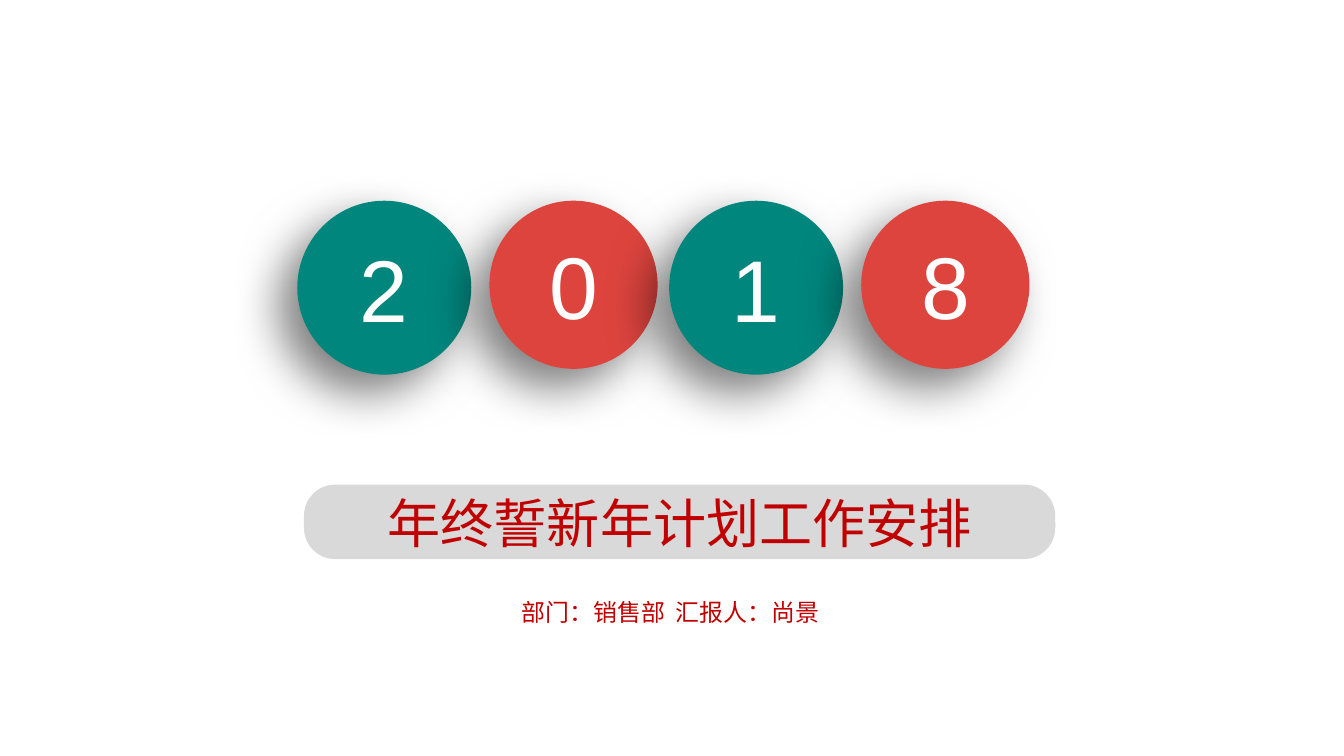
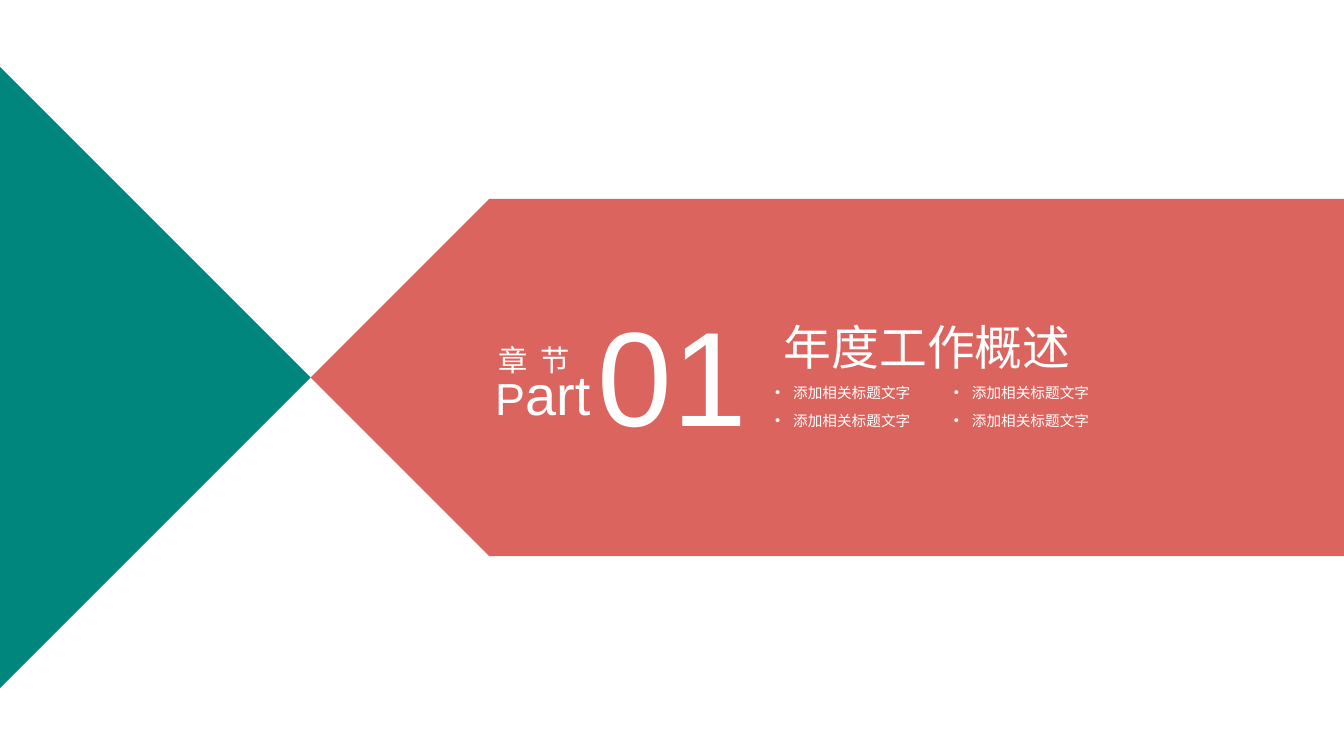
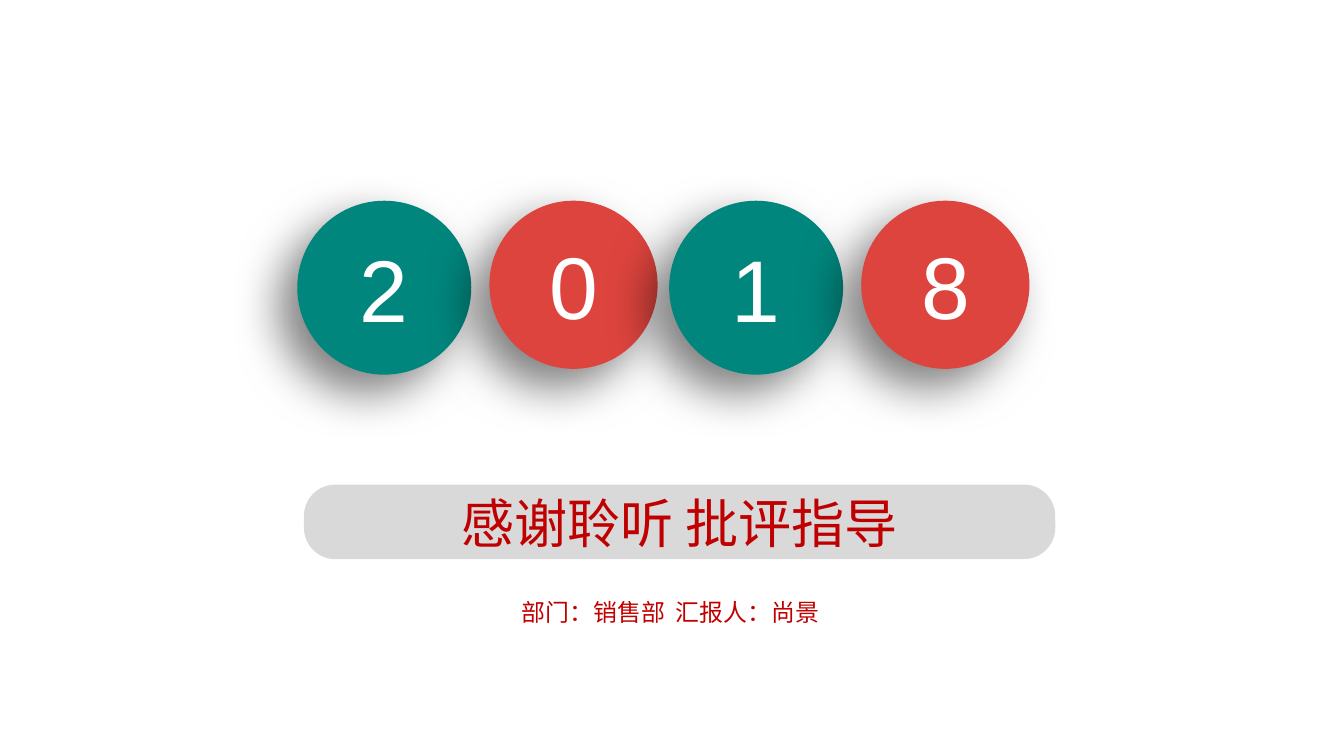
from dataclasses import dataclass
from lxml.etree import SubElement as Sub
from pptx import Presentation
from pptx.dml.color import RGBColor as Rgb
from pptx.enum.shapes import MSO_SHAPE as Kind
from pptx.enum.text import MSO_ANCHOR as Anchor, MSO_AUTO_SIZE as Auto, PP_ALIGN as Align
from pptx.oxml.ns import qn
from pptx.util import Inches, Pt


@dataclass(frozen=True)
class Theme:
    teal: str = "00867D"
    red: str = "DE443E"
    arrow: str = "D23E38"
    gray: str = "D9D9D9"
    ink: str = "C00000"
    white: str = "FFFFFF"
    latin: str = "Arial"
    han: str = "Noto Sans CJK SC"
    digit: float = 66
    head: float = 40
    by: float = 18
    topic: float = 36
    item: float = 11
    word: float = 22.1
    cap: float = 33.8
    low: float = 42.1
    num: float = 101.2


T = Theme()
WIDE, HIGH = 14.06, 7.91

# Content
YEAR = "2018"
OPEN, CLOSE = "年终誓新年计划工作安排", "感谢聆听 批评指导"
BYLINE = "部门：销售部\t汇报人：尚景"
TOPIC = "年度工作概述"
ITEMS = ["添加相关标题文字"] * 4
NUMBER, WORD, PART = "01", "章 节", [("P", T.cap), ("art", T.low)]

# Year discs: left edge, size and colour repeat in pairs
DISCS = [(3.11, 1.82, T.teal), (5.12, 1.76, T.red)]
PAIR, DISC_TOP, RIM = 3.89, 2.1, 0.04
# Chapter slide
TIP, MID = 3.25, 3.95
BAND = 3.74
ITEM_X, ITEM_Y, STEP_X, STEP_Y = 8.01, 3.97, 1.87, 0.29


def box(*at):
    return [Inches(v) for v in at]


def paint(shape, color):
    shape.shadow.inherit = False
    shape.fill.solid()
    shape.fill.fore_color.rgb = Rgb.from_string(color)
    shape.line.fill.background()
    return shape


def write(para, text, size, color=T.white, font=T.latin, gap=0):
    run = para.add_run()
    run.text = text
    run.font.size = Pt(size)
    run.font.name = font
    run.font.color.rgb = Rgb.from_string(color)
    props = run.font._element
    if gap:
        props.set("spc", str(gap))
    props.find(qn("a:latin")).addnext(props.makeelement(qn("a:ea"), typeface=T.han))


def setup(frame, pad=True, wrap=True, auto=Auto.SHAPE_TO_FIT_TEXT):
    frame.word_wrap = wrap
    frame.auto_size = auto
    frame.vertical_anchor = Anchor.TOP
    if not pad:
        frame.margin_left = frame.margin_right = 0
        frame.margin_top = frame.margin_bottom = 0
    return frame.paragraphs[0]


def label(slide, at, **opts):
    return setup(slide.shapes.add_textbox(*box(*at)).text_frame, **opts)


def title(slide, at, text, size, pad=True, **look):
    shape = slide.shapes.title
    shape.left, shape.top, shape.width, shape.height = box(*at)
    slide.shapes._spTree.append(shape._element)  # bring to front
    para = setup(shape.text_frame, pad=pad, auto=Auto.NONE)
    para.alignment = Align.CENTER
    write(para, text, size, **look)


def shade(shape):
    effects = shape._element.spPr.find(qn("a:effectLst"))
    outer = Sub(effects, qn("a:outerShdw"), blurRad=str(Pt(35)), dist=str(Pt(20)),
                dir="8100000", algn="tr", rotWithShape="0")
    tone = Sub(outer, qn("a:srgbClr"), val="000000")
    Sub(tone, qn("a:alpha"), val="50000")


def disc(slide, digit, left, size, color):
    group = slide.shapes.add_group_shape().shapes
    shade(paint(group.add_shape(Kind.OVAL, *box(left, DISC_TOP, size, size)), color))
    inner = size - 2 * RIM
    face = paint(group.add_shape(
        Kind.OVAL, *box(left + RIM, DISC_TOP + RIM, inner, inner)), color)
    face.text_frame.vertical_anchor = Anchor.MIDDLE
    para = face.text_frame.paragraphs[0]
    para.alignment = Align.CENTER
    write(para, digit, T.digit)


def cover(slide, text):
    for i, digit in enumerate(YEAR):
        left, size, color = DISCS[i % 2]
        disc(slide, digit, left + i // 2 * PAIR, size, color)
    # Title pill
    pill = paint(slide.shapes.add_shape(
        Kind.ROUNDED_RECTANGLE, *box(3.18, 5.07, 7.86, 0.78)), T.gray)
    pill.adjustments[0] = 0.42
    title(slide, (3.31, 5.08, 7.6, 0.77), text, T.head, color=T.ink, font=T.han)
    # Byline
    para = label(slide, (5.46, 6.16, 3.46, 0.39), pad=False)
    para.alignment = Align.JUSTIFY
    para.line_spacing = 1.3
    tabs = Sub(para._p.get_or_add_pPr(), qn("a:tabLst"))
    Sub(tabs, qn("a:tab"), pos=str(Inches(1.61)), algn="l")
    write(para, BYLINE, T.by, T.ink, T.han)


def chapter(slide):
    # Arrow band and wedge
    band = paint(slide.shapes.add_shape(
        Kind.PENTAGON, *box(TIP, MID - BAND / 2, WIDE - TIP, BAND)), T.arrow)
    band._element.spPr.xfrm.set("flipH", "1")
    tone = band._element.spPr.find(qn("a:solidFill"))[0]
    Sub(tone, qn("a:alpha"), val="80000")
    path = slide.shapes.build_freeform(0, Inches(MID - TIP))
    path.add_line_segments([box(TIP, MID), box(0, MID + TIP)], close=True)
    paint(path.convert_to_shape(), T.teal)
    # Topic and its points
    title(slide, (7.96, 3.32, 3.48, 0.61), TOPIC, T.topic, pad=False)
    for i, item in enumerate(ITEMS):
        at = ITEM_X + i % 2 * STEP_X, ITEM_Y + i // 2 * STEP_Y, 1.63, STEP_Y
        para = label(slide, at, wrap=False)
        props = para._p.get_or_add_pPr()
        props.set("marL", str(Inches(0.19)))
        props.set("indent", str(-Inches(0.19)))
        Sub(props, qn("a:buFont"), typeface=T.latin)
        Sub(props, qn("a:buChar"), char="•")
        write(para, item, T.item)
    # Chapter number
    para = label(slide, (5.18, 3.76, 1.01, 0.71), pad=False, wrap=False)
    for text, size in PART:
        write(para, text, size)
    para = label(slide, (5.22, 3.58, 0.79, 0.37), pad=False, wrap=False)
    write(para, WORD, T.word, gap=230)
    para = label(slide, (6.25, 3.06, 1.58, 1.7), pad=False, wrap=False)
    write(para, NUMBER, T.num)


def main():
    deck = Presentation()
    deck.slide_width, deck.slide_height = box(WIDE, HIGH)
    first, second, third = [deck.slides.add_slide(deck.slide_layouts[5]) for _ in range(3)]
    cover(first, OPEN)
    chapter(second)
    cover(third, CLOSE)
    deck.save("out.pptx")


if __name__ == "__main__":
    main()
